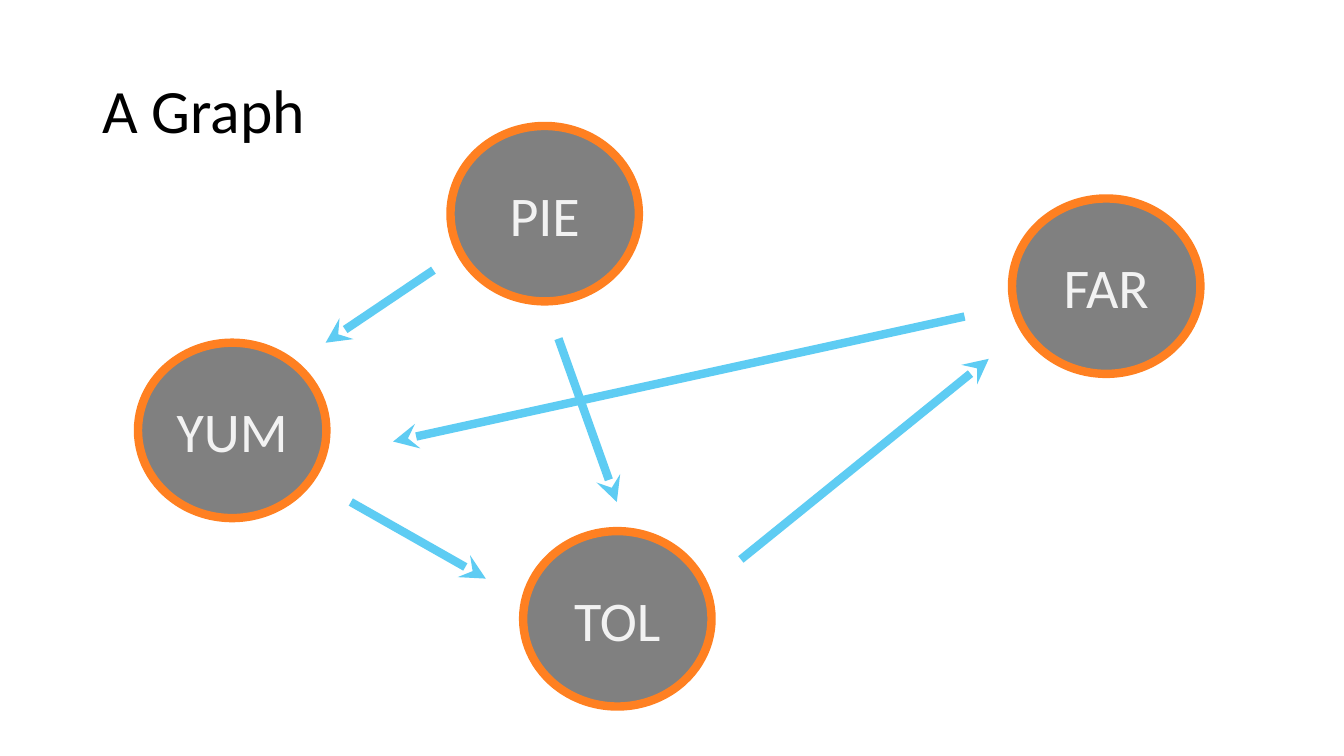
from dataclasses import dataclass

from pptx import Presentation
from pptx.dml.color import RGBColor
from pptx.enum.shapes import MSO_CONNECTOR, MSO_SHAPE
from pptx.enum.text import MSO_ANCHOR, PP_ALIGN
from pptx.oxml.ns import qn
from pptx.util import Pt
from lxml import etree

OVAL = MSO_SHAPE.OVAL
STRAIGHT = MSO_CONNECTOR.STRAIGHT
MIDDLE = MSO_ANCHOR.MIDDLE
LEFT, CENTER = PP_ALIGN.LEFT, PP_ALIGN.CENTER


@dataclass(frozen=True)
class Theme:
    font: str = "Calibri"
    title_size: float = 44
    node_size: float = 40
    line_width: float = 6
    title_color: str = "000000"
    node_text: str = "F2F2F2"
    node_fill: str = "808080"
    node_line: str = "FF8021"
    edge: str = "5ECCF3"


THEME = Theme()
SLIDE_BOX = (0, 0, 960, 540)
TITLE_BOX = (66, 29, 828, 104)
NODE_WIDTH, NODE_HEIGHT = 134.6, 125.3

# Top left corner of each node
NODES = {
    "YUM": (98.6, 244.8),
    "TOL": (373.7, 379.4),
    "PIE": (321.8, 90),
    "FAR": (722.9, 141.8),
}

# Start and arrow tip of each edge, which stop short of the nodes
EDGES = {
    ("YUM", "TOL"): ((250.6, 358.6), (347, 413.3)),
    ("PIE", "YUM"): ((309.6, 193), (232.6, 244.8)),
    ("PIE", "TOL"): ((398.9, 241.9), (440.6, 358.6)),
    ("TOL", "FAR"): ((529.2, 399.6), (706.3, 256.3)),
    ("FAR", "YUM"): ((689, 226.1), (280.8, 315.4)),
}


def write_text(shape, text, *, size, color, align=LEFT, spacing=1.0):
    frame = shape.text_frame
    frame.word_wrap = True
    frame.vertical_anchor = MIDDLE
    paragraph = frame.paragraphs[0]
    paragraph.alignment = align
    paragraph.line_spacing = spacing
    run = paragraph.add_run()
    run.text = text
    run.font.name = THEME.font
    run.font.size = Pt(size)
    run.font.color.rgb = RGBColor.from_string(color)


def set_line(line, color):
    line.color.rgb = RGBColor.from_string(color)
    line.width = Pt(THEME.line_width)


def add_title(slide, box, text):
    shape = slide.shapes.add_textbox(*map(Pt, box))
    write_text(shape, text, size=THEME.title_size, color=THEME.title_color, spacing=0.9)


def add_node(slide, box, name):
    shape = slide.shapes.add_shape(OVAL, *map(Pt, box))
    shape.shadow.inherit = False
    shape.fill.solid()
    shape.fill.fore_color.rgb = RGBColor.from_string(THEME.node_fill)
    set_line(shape.line, THEME.node_line)
    write_text(shape, name, size=THEME.node_size, color=THEME.node_text, align=CENTER)


def add_edge(slide, start, end):
    connector = slide.shapes.add_connector(STRAIGHT, *map(Pt, (*start, *end)))
    set_line(connector.line, THEME.edge)
    # Arrowhead at the end, and no shadow
    properties = connector._element.spPr
    etree.SubElement(properties.find(qn("a:ln")), qn("a:tailEnd"), type="stealth")
    etree.SubElement(properties, qn("a:effectLst"))


def add_graph(slide, box):
    left, top = box[:2]
    for name, (x, y) in NODES.items():
        add_node(slide, (left + x, top + y, NODE_WIDTH, NODE_HEIGHT), name)
    for ends in EDGES.values():
        start, end = [(left + x, top + y) for x, y in ends]
        add_edge(slide, start, end)


def main():
    presentation = Presentation()
    presentation.slide_width, presentation.slide_height = map(Pt, SLIDE_BOX[2:])
    slide = presentation.slides.add_slide(presentation.slide_layouts[6])
    add_title(slide, TITLE_BOX, "A Graph")
    add_graph(slide, SLIDE_BOX)
    presentation.save("out.pptx")


if __name__ == "__main__":
    main()
